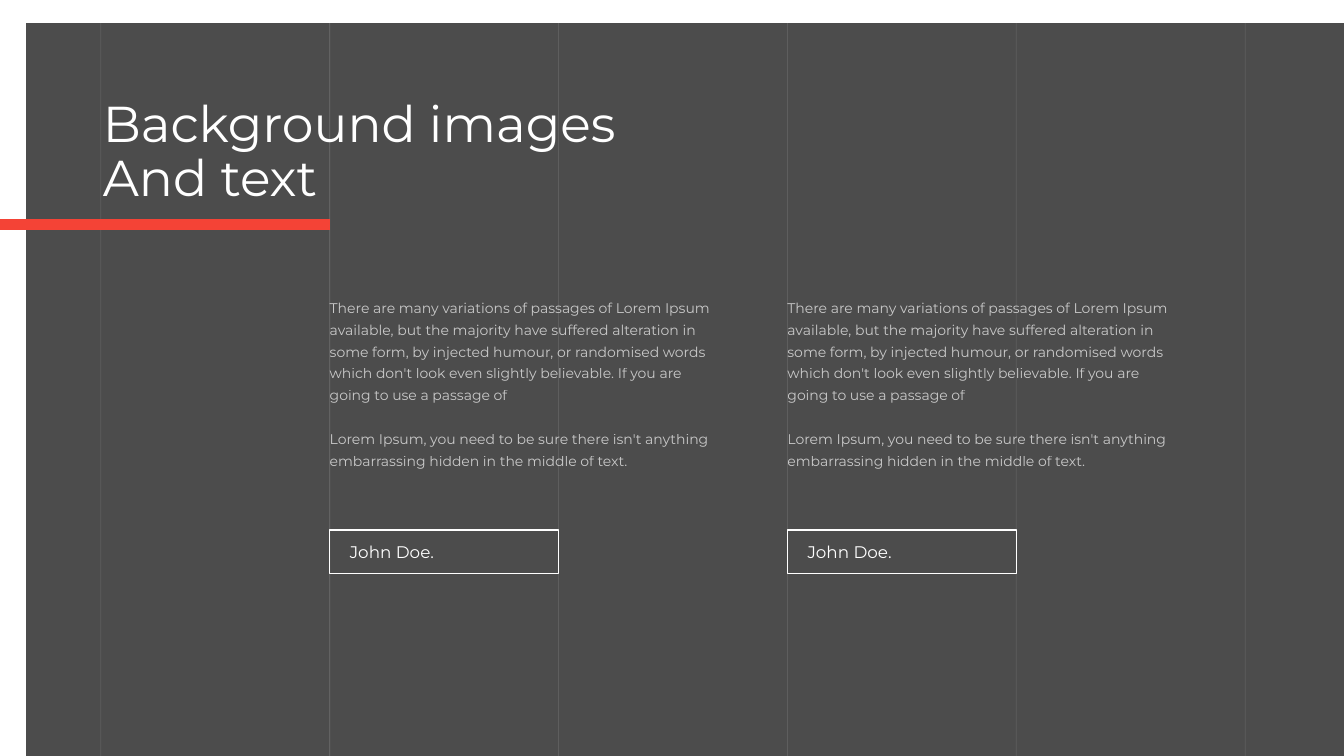
from dataclasses import dataclass

from lxml import etree
from pptx import Presentation
from pptx.dml.color import RGBColor
from pptx.enum.shapes import MSO_CONNECTOR, MSO_SHAPE
from pptx.enum.text import MSO_ANCHOR, MSO_AUTO_SIZE, PP_ALIGN
from pptx.oxml.ns import qn
from pptx.shapes.connector import Connector
from pptx.slide import Slide
from pptx.text.text import TextFrame
from pptx.util import Inches, Pt

STRAIGHT = MSO_CONNECTOR.STRAIGHT
RECTANGLE = MSO_SHAPE.RECTANGLE
MIDDLE, TOP = MSO_ANCHOR.MIDDLE, MSO_ANCHOR.TOP
FIT_SHAPE = MSO_AUTO_SIZE.SHAPE_TO_FIT_TEXT
LEFT = PP_ALIGN.LEFT

WHITE = RGBColor(0xFF, 0xFF, 0xFF)
BLACK = RGBColor(0x00, 0x00, 0x00)
RED = RGBColor(0xF4, 0x43, 0x36)
FONT = "Montserrat"

SLIDE_WIDTH, SLIDE_HEIGHT = 13.33, 7.5
GRID_LEFT, COLUMN_WIDTH = 1.0, 2.27
GUIDE_COLUMNS = (0, 1, 2, 3, 4, 5, 1)  # the first text column's guide is doubled
TITLE_ONLY = 5

PASSAGE = (
    "There are many variations of passages of Lorem Ipsum available, but the "
    "majority have suffered alteration in some form, by injected humour, or "
    "randomised words which don't look even slightly believable. If you are "
    "going to use a passage of",
    "Lorem Ipsum, you need to be sure there isn't anything embarrassing hidden "
    "in the middle of text.",
)


@dataclass(frozen=True)
class Quote:
    column: int
    paragraphs: tuple[str, ...]
    author: str


QUOTES = (Quote(1, PASSAGE, "John Doe."), Quote(3, PASSAGE, "John Doe."))


def column_left(column: int) -> float:
    return GRID_LEFT + column * COLUMN_WIDTH


def set_opacity(element: etree.ElementBase, percent: int) -> None:
    """Apply an opacity to every RGB colour inside the element."""
    for colour in element.iter(qn("a:srgbClr")):
        etree.SubElement(colour, qn("a:alpha")).set("val", str(percent * 1000))


def write_text(frame: TextFrame, paragraphs: tuple[str, ...], size: float,
               spacing: float = 1.0, gap: float = 0, left: float = 0,
               right: float = 0, anchor: MSO_ANCHOR = TOP) -> None:
    """Fill a frame with white left-aligned text; gap is in points, insets in inches."""
    frame.word_wrap = True
    frame.vertical_anchor = anchor
    frame.margin_left, frame.margin_right = Inches(left), Inches(right)
    frame.margin_top = frame.margin_bottom = Inches(0.05)
    frame.text = "\n".join(paragraphs)
    for index, paragraph in enumerate(frame.paragraphs):
        paragraph.alignment = LEFT
        paragraph.line_spacing = spacing
        paragraph.space_before = Pt(gap if index else 0)
        paragraph.font.name = FONT
        paragraph.font.size = Pt(size)
        paragraph.font.color.rgb = WHITE


def add_rule(slide: Slide, start: tuple[float, float], end: tuple[float, float],
             colour: RGBColor, width: float) -> Connector:
    rule = slide.shapes.add_connector(STRAIGHT, *map(Inches, start + end))
    rule.line.color.rgb = colour
    rule.line.width = Pt(width)
    etree.SubElement(rule._element.spPr, qn("a:effectLst"))
    return rule


def add_backdrop(slide: Slide) -> None:
    backdrop = slide.shapes.add_shape(
        RECTANGLE, Inches(0.26), Inches(0.23), Inches(SLIDE_WIDTH), Inches(SLIDE_HEIGHT))
    backdrop.shadow.inherit = False
    backdrop.fill.solid()
    backdrop.fill.fore_color.rgb = BLACK
    set_opacity(backdrop._element.spPr, 70)
    backdrop.line.fill.background()


def add_guides(slide: Slide) -> None:
    for column in GUIDE_COLUMNS:
        x = column_left(column)
        guide = add_rule(slide, (x, 0), (x, SLIDE_HEIGHT), WHITE, 0.5)
        set_opacity(guide._element.spPr, 10)


def add_quote(slide: Slide, quote: Quote) -> None:
    left = Inches(column_left(quote.column))
    passage = slide.shapes.add_textbox(left, Inches(2.87), Inches(3.88), Inches(1.84))
    write_text(passage.text_frame, quote.paragraphs, size=10, spacing=1.3, gap=15.8)
    passage.text_frame.auto_size = FIT_SHAPE
    set_opacity(passage._element.txBody, 70)

    author = slide.shapes.add_shape(
        RECTANGLE, left, Inches(5.26), Inches(COLUMN_WIDTH), Inches(0.43))
    author.shadow.inherit = False
    author.fill.background()
    author.line.color.rgb = WHITE
    author.line.width = Pt(1)
    write_text(author.text_frame, (quote.author,), size=12, left=0.2, right=0.1,
               anchor=MIDDLE)


def place_title(slide: Slide) -> None:
    title = slide.shapes.title
    title.left, title.top = Inches(1.02), Inches(0.93)
    title.width, title.height = Inches(6.78), Inches(1.19)
    write_text(title.text_frame, ("Background images", "And text"), size=36, spacing=0.9)
    title.text_frame.auto_size = FIT_SHAPE
    slide.shapes._spTree.append(title._element)  # bring in front of the backdrop


def main() -> None:
    presentation = Presentation()
    presentation.slide_width = Inches(SLIDE_WIDTH)
    presentation.slide_height = Inches(SLIDE_HEIGHT)
    slide = presentation.slides.add_slide(presentation.slide_layouts[TITLE_ONLY])
    slide.background.fill.solid()
    slide.background.fill.fore_color.rgb = WHITE

    add_backdrop(slide)
    add_guides(slide)
    for quote in QUOTES:
        add_quote(slide, quote)
    place_title(slide)
    add_rule(slide, (0, 2.23), (column_left(1), 2.23), RED, 8)
    presentation.save("out.pptx")


if __name__ == "__main__":
    main()
